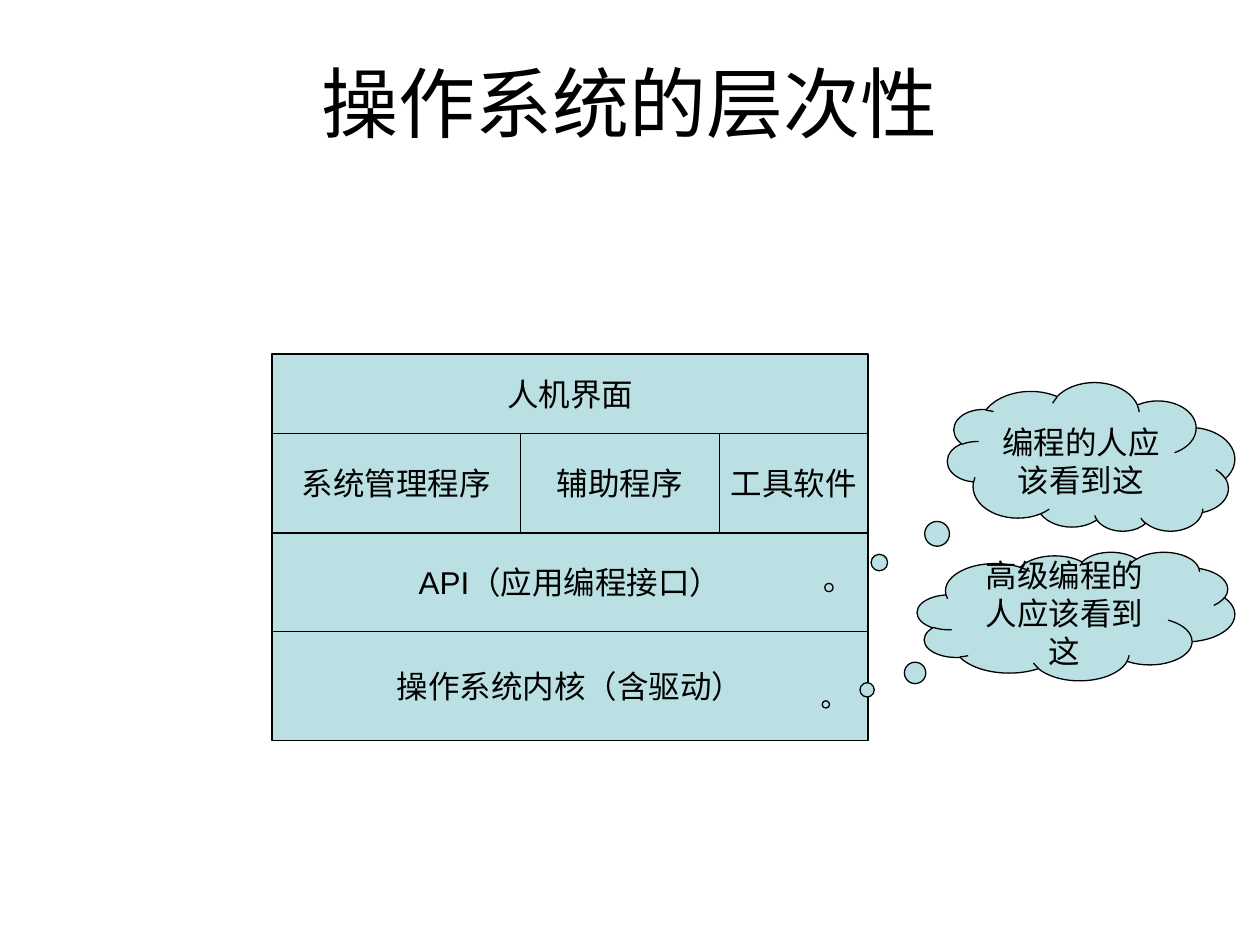
from dataclasses import dataclass

import pptx
import pptx.dml.color
import pptx.enum.shapes
import pptx.enum.text
import pptx.shapes.autoshape
import pptx.util

Inches = pptx.util.Inches
Kind = pptx.enum.shapes.MSO_SHAPE


@dataclass(frozen=True)
class Theme:
    fill: str = "BBE0E3"
    ink: str = "000000"
    head_font: str = "Montserrat"
    body_font: str = "Arial"
    head_size: int = 44
    body_size: int = 18
    line: float = 0.75


@dataclass(frozen=True)
class Layer:
    height: float
    cells: tuple[tuple[str, float], ...]


@dataclass(frozen=True)
class Cloud:
    text: str
    box: tuple[float, float, float, float]
    tail: tuple[float, float]
    flip: bool = False


THEME = Theme()
LEFT, TOP, WIDTH = 2.16, 2.81, 4.73
LAYERS = (
    Layer(0.63, (("人机界面", WIDTH),)),
    Layer(0.79, (("系统管理程序", 1.97), ("辅助程序", 1.58), ("工具软件", 1.18))),
    Layer(0.78, (("API（应用编程接口）", WIDTH),)),
    Layer(0.87, (("操作系统内核（含驱动）", WIDTH),)),
)
CLOUDS = (
    Cloud("编程的人应该看到这", (7.52, 3.04, 2.28, 1.18), (-0.913, -0.876), True),
    Cloud("高级编程的人应该看到这", (7.28, 4.38, 2.52, 1.02), (-0.788, 0.687)),
)


def rgb(code: str) -> pptx.dml.color.RGBColor:
    return pptx.dml.color.RGBColor.from_string(code)


def write(shape: pptx.shapes.autoshape.Shape, text: str, font: str, size: int, wrap: bool) -> None:
    frame = shape.text_frame
    frame.word_wrap = wrap
    frame.vertical_anchor = pptx.enum.text.MSO_ANCHOR.MIDDLE
    para = frame.paragraphs[0]
    para.alignment = pptx.enum.text.PP_ALIGN.CENTER
    run = para.add_run()
    run.text = text
    run.font.name = font
    run.font.size = pptx.util.Pt(size)
    run.font.color.rgb = rgb(THEME.ink)


def add_box(shapes, kind: Kind, box: tuple[float, float, float, float], text: str,
            wrap: bool) -> pptx.shapes.autoshape.Shape:
    shape = shapes.add_shape(kind, *map(Inches, box))
    shape.shadow.inherit = False
    shape.fill.solid()
    shape.fill.fore_color.rgb = rgb(THEME.fill)
    shape.line.color.rgb = rgb(THEME.ink)
    shape.line.width = pptx.util.Pt(THEME.line)
    write(shape, text, THEME.body_font, THEME.body_size, wrap)
    return shape


def add_stack(shapes) -> None:
    """Draw the layers from the lowest up, as one group."""
    group = shapes.add_group_shape()
    base = TOP + sum(layer.height for layer in LAYERS)
    for layer in reversed(LAYERS):
        base -= layer.height
        left = LEFT
        for text, width in layer.cells:
            add_box(group.shapes, Kind.RECTANGLE, (left, base, width, layer.height), text, False)
            left += width


def add_cloud(shapes, cloud: Cloud) -> None:
    shape = add_box(shapes, Kind.CLOUD_CALLOUT, cloud.box, cloud.text, True)
    for index, value in enumerate(cloud.tail):
        shape.adjustments[index] = value
    if cloud.flip:
        # The half turn keeps the text upright in the flipped shape.
        shape.element.spPr.get_or_add_xfrm().set("flipV", "1")
        shape.element.txBody.bodyPr.set("rot", "10800000")


def main() -> None:
    deck = pptx.Presentation()
    deck.slide_width, deck.slide_height = Inches(10), Inches(7.5)
    shapes = deck.slides.add_slide(deck.slide_layouts[6]).shapes
    title = shapes.add_textbox(Inches(0.5), Inches(0.3), Inches(9), Inches(1.01))
    write(title, "操作系统的层次性", THEME.head_font, THEME.head_size, True)
    add_stack(shapes)
    for cloud in CLOUDS:
        add_cloud(shapes, cloud)
    deck.save("out.pptx")


if __name__ == "__main__":
    main()
